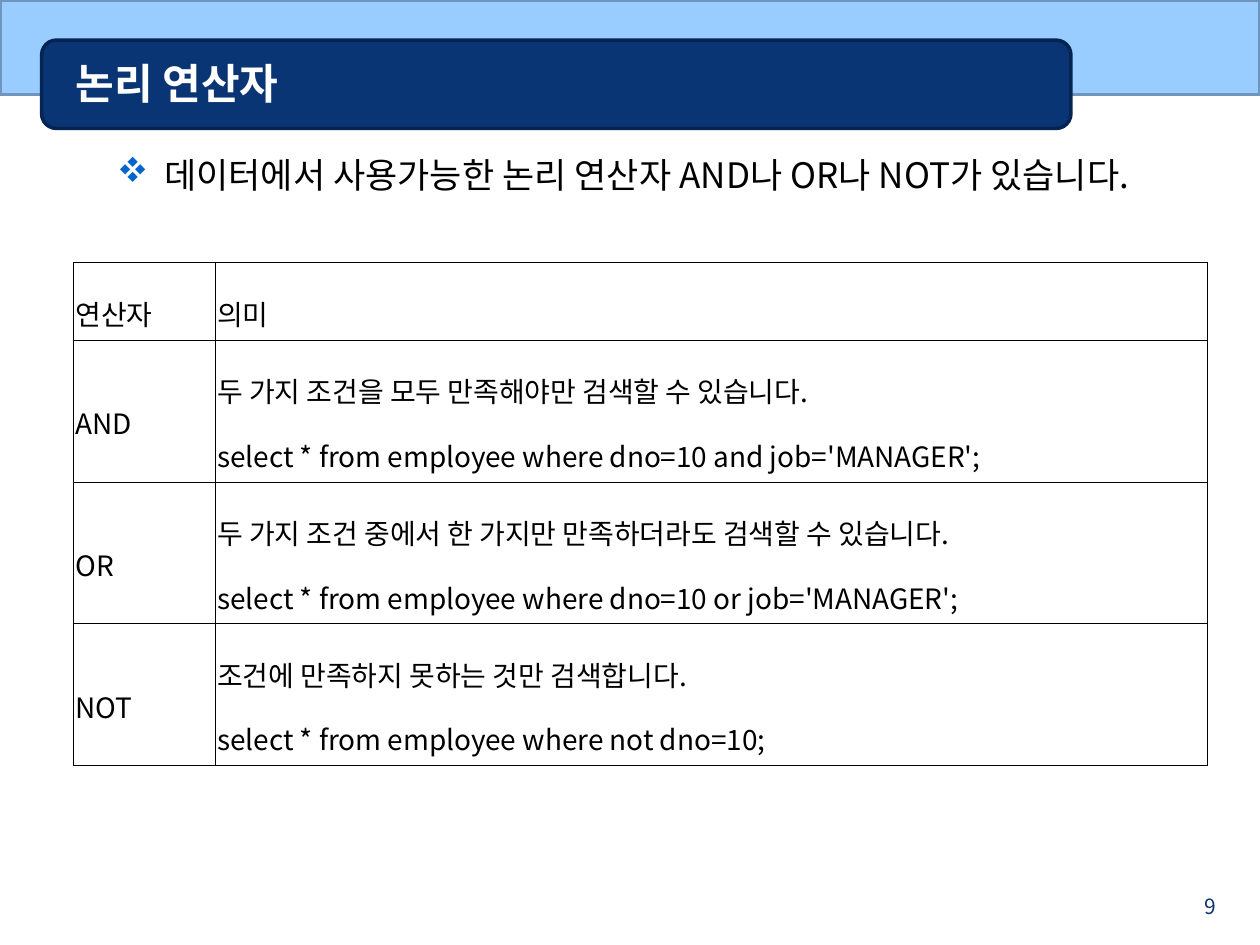
from dataclasses import dataclass

from lxml import etree
from pptx import Presentation
from pptx.dml.color import RGBColor
from pptx.enum.shapes import MSO_SHAPE
from pptx.enum.text import MSO_ANCHOR, MSO_AUTO_SIZE, PP_ALIGN
from pptx.oxml.ns import qn
from pptx.util import Cm, Pt

RECTANGLE, ROUNDED = MSO_SHAPE.RECTANGLE, MSO_SHAPE.ROUNDED_RECTANGLE
LEFT, RIGHT, JUSTIFY = PP_ALIGN.LEFT, PP_ALIGN.RIGHT, PP_ALIGN.JUSTIFY
MIDDLE = MSO_ANCHOR.MIDDLE
NO_AUTOFIT = MSO_AUTO_SIZE.NONE
TITLE_ONLY = 5


@dataclass(frozen=True)
class Theme:
    font: str = "Noto Sans CJK KR"
    bullet_font: str = "Wingdings"
    band: str = "99CCFF"
    band_line: str = "6F95BC"
    navy: str = "093575"
    navy_line: str = "052454"
    bullet: str = "0066CC"
    text: str = "000000"
    title_text: str = "FFFFFF"
    title_size: int = 24
    body_size: int = 20
    table_size: int = 16
    number_size: int = 12
    line_width: float = 2
    border_width: float = 0.11


THEME = Theme()

OPERATORS = [
    ("연산자", ["의미"]),
    ("AND", ["두 가지 조건을 모두 만족해야만 검색할 수 있습니다.",
             "select * from employee where dno=10 and job='MANAGER';"]),
    ("OR", ["두 가지 조건 중에서 한 가지만 만족하더라도 검색할 수 있습니다.",
            "select * from employee where dno=10 or job='MANAGER';"]),
    ("NOT", ["조건에 만족하지 못하는 것만 검색합니다.",
             "select * from employee where not dno=10;"]),
]


def format_paragraph(paragraph, size, color, alignment=LEFT, bold=False):
    paragraph.alignment = alignment
    font = paragraph.font
    font.name, font.size, font.bold = THEME.font, Pt(size), bold
    font.color.rgb = RGBColor.from_string(color)


def add_panel(slide, kind, box, fill, line):
    shape = slide.shapes.add_shape(kind, *box)
    shape.shadow.inherit = False
    shape.fill.solid()
    shape.fill.fore_color.rgb = RGBColor.from_string(fill)
    shape.line.color.rgb = RGBColor.from_string(line)
    shape.line.width = Pt(THEME.line_width)
    return shape


def add_text(slide, box, text):
    frame = slide.shapes.add_textbox(*box).text_frame
    frame.word_wrap = True
    frame.text = text
    return frame.paragraphs[0]


def add_header(slide, left, top, width, height, text):
    # Pale band with the dark title plate hanging over its lower edge
    band = add_panel(slide, RECTANGLE, (left, top, width, height),
                     THEME.band, THEME.band_line)
    plate = add_panel(slide, ROUNDED,
                      (left + Cm(0.84), top + Cm(0.81), Cm(20.75), Cm(1.78)),
                      THEME.navy, THEME.navy_line)

    # Title on top of the plate
    title = slide.shapes.title
    for panel in (band, plate):
        title.element.addprevious(panel.element)
    title.left, title.top = left + Cm(1.27), top + Cm(0.89)
    title.width, title.height = Cm(20.12), Cm(1.57)
    frame = title.text_frame
    frame.text = text
    frame.auto_size = NO_AUTOFIT
    frame.vertical_anchor = MIDDLE
    format_paragraph(frame.paragraphs[0], THEME.title_size, THEME.title_text,
                     bold=True)


def add_bullet(slide, left, top, width, height, text):
    paragraph = add_text(slide, (left, top, width, height), text)
    paragraph.space_before = Pt(24)
    format_paragraph(paragraph, THEME.body_size, THEME.text)

    # Coloured bullet with a hanging indent; "v" is the four-diamond symbol
    defaults = next(slide.shapes[-1].element.iter(qn("a:defRPr")))
    properties = defaults.getparent()
    properties.set("marL", str(Cm(0.95)))
    properties.set("indent", str(-Cm(0.95)))
    color = etree.Element(qn("a:buClr"))
    etree.SubElement(color, qn("a:srgbClr"), val=THEME.bullet)
    font = etree.Element(qn("a:buFont"), typeface=THEME.bullet_font, charset="2")
    for part in (color, font, etree.Element(qn("a:buChar"), char="v")):
        defaults.addprevious(part)


def add_borders(cell_element):
    properties = cell_element.get_or_add_tcPr()
    for index, side in enumerate(("lnL", "lnR", "lnT", "lnB")):
        line = etree.Element(qn(f"a:{side}"), w=str(Pt(THEME.border_width)))
        fill = etree.SubElement(line, qn("a:solidFill"))
        etree.SubElement(fill, qn("a:srgbClr"), val=THEME.text)
        properties.insert(index, line)


def add_operator_table(slide, left, top, width, rows):
    heights = [Cm(1.57)] + [Cm(2.86)] * (len(rows) - 1)
    frame = slide.shapes.add_table(len(rows), 2, left, top, width, sum(heights))
    table = frame.table
    table.first_row = table.horz_banding = False
    name_width = Cm(2.86)
    table.columns[0].width = name_width
    table.columns[1].width = width - name_width

    for row, height, (name, meaning) in zip(table.rows, heights, rows):
        row.height = height
        for cell, text in zip(row.cells, (name, "\n".join(meaning))):
            cell.fill.background()
            cell.vertical_anchor = MIDDLE
            cell.margin_left = cell.margin_right = Cm(0.05)
            cell.text = text
            for paragraph in cell.text_frame.paragraphs:
                paragraph.line_spacing = 1.6
                format_paragraph(paragraph, THEME.table_size, THEME.text, JUSTIFY)

    for cell_element in frame.element.iter(qn("a:tc")):
        add_borders(cell_element)


def add_page_number(slide, left, top, width, height, number):
    paragraph = add_text(slide, (left, top, width, height), str(number))
    format_paragraph(paragraph, THEME.number_size, THEME.navy, RIGHT)


def apply_korean_font(slide):
    # Hangul takes its typeface from the East Asian entry; kerning is off
    for defaults in slide.element.iter(qn("a:defRPr")):
        defaults.set("kern", "0")
        etree.SubElement(defaults, qn("a:ea"), typeface=THEME.font)


def main():
    presentation = Presentation()
    presentation.slide_width, presentation.slide_height = Cm(25.4), Cm(19.05)
    slide = presentation.slides.add_slide(presentation.slide_layouts[TITLE_ONLY])

    add_header(slide, 0, 0, presentation.slide_width, Cm(1.91), "논리 연산자")
    add_bullet(slide, Cm(2.11), Cm(2.97), Cm(22.86), Cm(8.86),
               "데이터에서 사용가능한 논리 연산자 AND나 OR나 NOT가 있습니다.")
    add_operator_table(slide, Cm(1.47), Cm(5.28), Cm(22.86), OPERATORS)
    add_page_number(slide, Cm(23.5), Cm(17.88), Cm(1.27), Cm(0.53), 9)
    apply_korean_font(slide)

    presentation.save("out.pptx")


if __name__ == "__main__":
    main()
